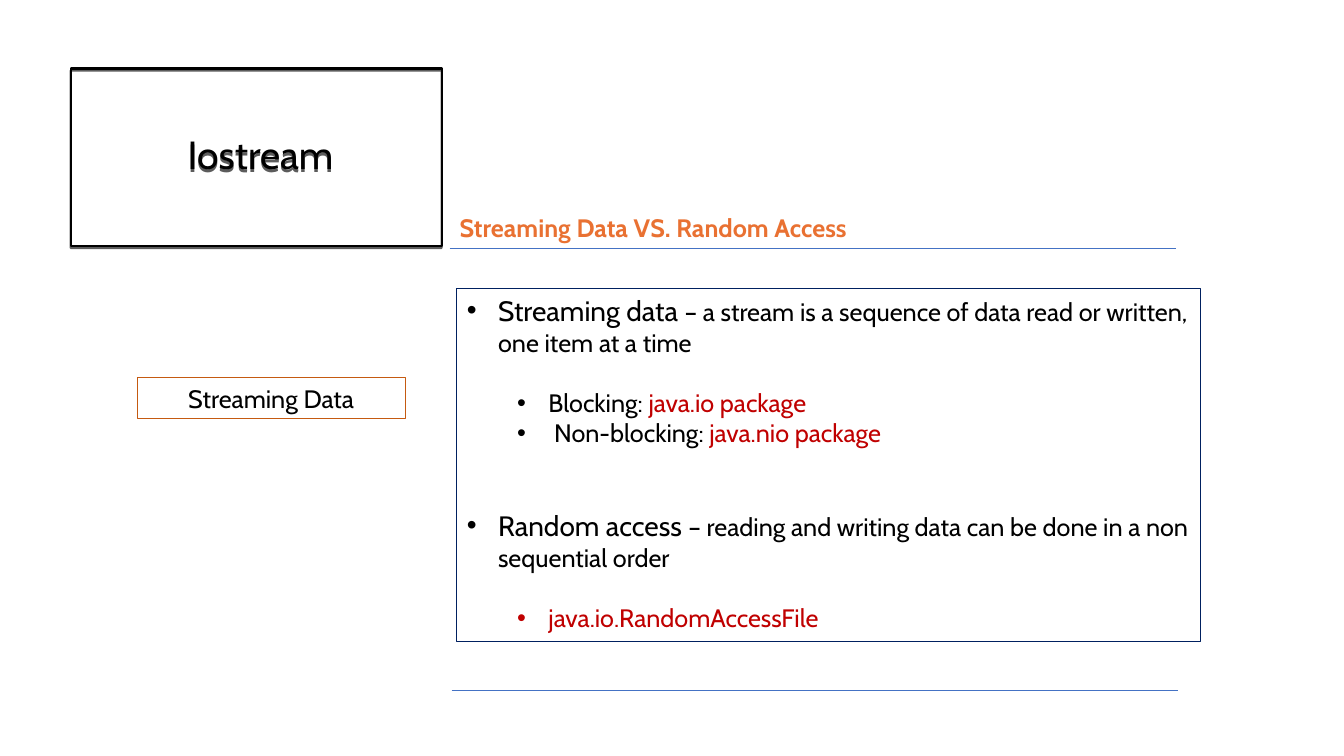
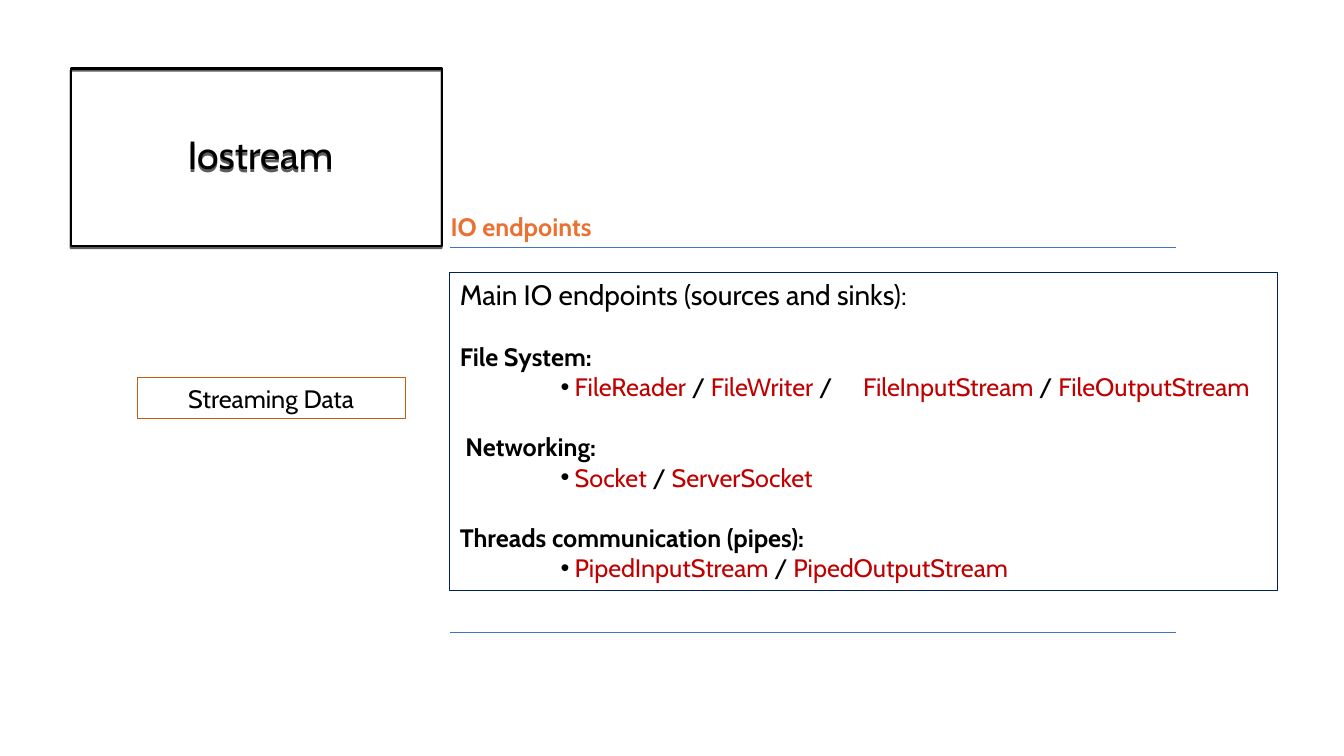
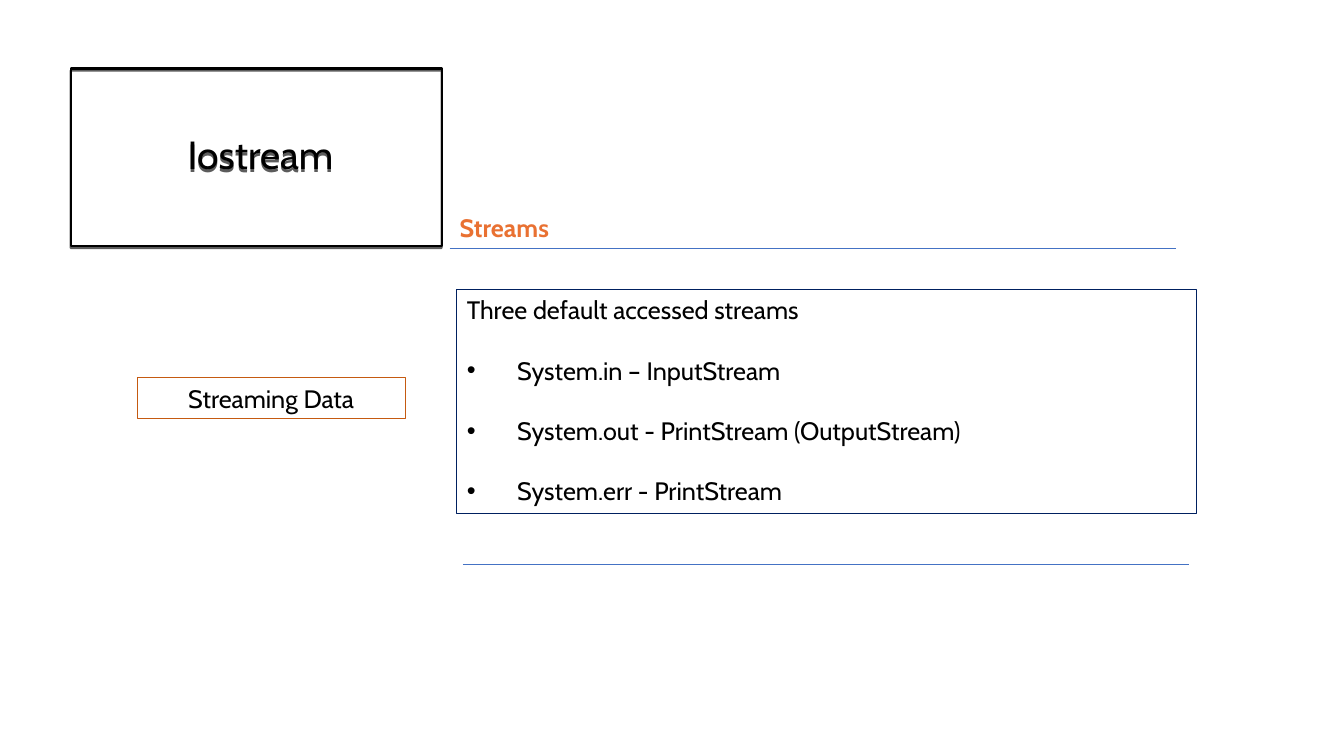
from dataclasses import dataclass

from lxml.etree import SubElement
from pptx import Presentation
from pptx.dml.color import RGBColor
from pptx.enum.shapes import MSO_CONNECTOR, MSO_SHAPE
from pptx.enum.text import MSO_ANCHOR, MSO_AUTO_SIZE, PP_ALIGN
from pptx.oxml.ns import qn
from pptx.util import Inches, Pt

FONT = "Cabin"
INK, RED, ORANGE = "000000", "C00000", "E97132"
NAVY, RUST, BLUE = "002060", "C55A11", "4472C4"
TEXT_SIZE, LEAD_SIZE, TITLE_SIZE = 18, 20, 28
LINE_HEIGHT = 1.2 * TEXT_SIZE
RULE_WIDTH = 7.2


@dataclass
class Box:
    left: float
    top: float
    width: float
    height: float

    def inches(self):
        return [Inches(v) for v in (self.left, self.top, self.width, self.height)]


@dataclass
class Span:
    text: str
    color: str = INK
    size: int = TEXT_SIZE


@dataclass
class Line:
    """One paragraph; margin and hang are inches, gap counts empty lines above."""
    spans: list
    margin: float = 0
    hang: float = 0
    gap: int = 0
    level: int = 0
    bold: bool = False
    tab: float = 0


TITLE_BOX = Box(0.7, 0.68, 3.68, 1.76)
TOPIC_BOX = Box(1.36, 3.75, 2.66, 0.4)


def rgb(hex_color):
    return RGBColor.from_string(hex_color)


def set_font(font, size=TEXT_SIZE, color=INK, bold=False):
    font.name, font.size, font.bold = FONT, Pt(size), bold
    font.color.rgb = rgb(color)


def outline(shape, color, width):
    shape.fill.background()
    shape.line.color.rgb = rgb(color)
    shape.line.width = Pt(width)


def place(shape, box):
    shape.left, shape.top, shape.width, shape.height = box.inches()


def add_title(page, text):
    title = page.shapes.title
    place(title, TITLE_BOX)
    outline(title, INK, 1.5)
    effects = SubElement(title.element.spPr, qn("a:effectLst"))
    shadow = SubElement(effects, qn("a:outerShdw"), dist=str(Pt(1.5)),
                        dir="5400000", algn="t", rotWithShape="0")
    color = SubElement(shadow, qn("a:srgbClr"), val=INK)
    SubElement(color, qn("a:alpha"), val="63000")
    frame = title.text_frame
    frame.text = text
    frame.auto_size = MSO_AUTO_SIZE.NONE
    frame.vertical_anchor = MSO_ANCHOR.MIDDLE
    para = frame.paragraphs[0]
    para.alignment = PP_ALIGN.CENTER
    para.line_spacing = 0.9
    set_font(para.font, TITLE_SIZE)


def add_topic(page, text):
    topic = page.shapes.add_shape(MSO_SHAPE.RECTANGLE, *TOPIC_BOX.inches())
    topic.shadow.inherit = False
    outline(topic, RUST, 0.75)
    topic.text_frame.text = text
    para = topic.text_frame.paragraphs[0]
    para.alignment = PP_ALIGN.CENTER
    set_font(para.font)


def add_rule(page, left, top):
    rule = page.shapes.add_connector(
        MSO_CONNECTOR.STRAIGHT, Inches(left), Inches(top),
        Inches(left + RULE_WIDTH), Inches(top))
    rule.line.color.rgb = rgb(BLUE)
    rule.line.width = Pt(0.5)
    SubElement(rule.element.spPr, qn("a:effectLst"))


def add_heading(page, text, left, top):
    heading = page.shapes.add_textbox(*Box(left, top, 4.38, 0.4).inches())
    heading.text_frame.word_wrap = True
    heading.text_frame.text = text
    set_font(heading.text_frame.paragraphs[0].font, color=ORANGE, bold=True)


def set_bullet(para, line):
    props = para._p.get_or_add_pPr()
    props.set("marL", str(Inches(line.margin)))
    props.set("indent", str(-Inches(line.hang)))
    if line.hang:
        color = line.spans[0].color if len(line.spans) == 1 else INK
        SubElement(SubElement(props, qn("a:buClr")), qn("a:srgbClr"), val=color)
        SubElement(props, qn("a:buFont"), typeface="Arial")
        SubElement(props, qn("a:buChar"), char="•")
    else:
        SubElement(props, qn("a:buNone"))
    if line.tab:
        tabs = SubElement(props, qn("a:tabLst"))
        SubElement(tabs, qn("a:tab"), pos=str(Inches(line.tab)), algn="l")


def add_body(page, box, lines):
    body = page.placeholders[1]
    place(body, box)
    outline(body, NAVY, 0.75)
    frame = body.text_frame
    frame.auto_size = MSO_AUTO_SIZE.NONE
    frame.vertical_anchor = MSO_ANCHOR.TOP
    for index, line in enumerate(lines):
        para = frame.add_paragraph() if index else frame.paragraphs[0]
        para.level = line.level
        set_bullet(para, line)
        para.space_before = Pt(line.gap * LINE_HEIGHT)
        set_font(para.font, bold=line.bold)
        for part in line.spans:
            span = para.add_run()
            span.text = part.text
            set_font(span.font, part.size, part.color, line.bold)


def add_page(deck, heading, heading_at, body_box, lines, end_rule_at):
    page = deck.slides.add_slide(deck.slide_layouts[1])
    add_title(page, " Iostream")
    add_body(page, body_box, lines)
    left, top = heading_at
    add_rule(page, 4.46, top + 0.4)
    add_rule(page, *end_rule_at)
    add_heading(page, heading, left, top)
    add_topic(page, "Streaming Data")


def lead_item(term, meaning, gap=0):
    return Line([Span(term, size=LEAD_SIZE), Span(meaning)], 0.31, 0.31, gap)


def sub_item(*spans, gap=0):
    return Line(spans, 0.81, 0.31, gap, level=1)


def group_head(text):
    return Line([Span(text)], gap=1, bold=True)


def class_item(*texts, tab=0):
    """Class names in red, the slashes between them in black."""
    spans = [Span(text, INK if "/" in text else RED) for text in texts]
    return Line(spans, 1.14, 0.14, tab=tab)


def stream_item(text):
    return Line([Span(text)], 0.5, 0.5, gap=1)


def main():
    deck = Presentation()
    deck.slide_width, deck.slide_height = Inches(13.33), Inches(7.5)
    add_page(deck, "Streaming Data VS. Random Access", (4.46, 2.06),
             Box(4.53, 2.86, 7.38, 3.5), [
                 lead_item("Streaming data ", "– a stream is a sequence of data "
                           "read or written, one item at a time"),
                 sub_item(Span("Blocking: "), Span("java.io package", RED), gap=1),
                 sub_item(Span(" Non-blocking: "), Span("java.nio package", RED)),
                 lead_item("Random access ", "– reading and writing data can be "
                           "done in a non sequential order", gap=2),
                 sub_item(Span("java.io.RandomAccessFile", RED), gap=1),
             ], (4.48, 6.85))
    add_page(deck, "IO endpoints", (4.37, 2.05), Box(4.46, 2.7, 8.21, 3.16), [
        Line([Span("Main IO endpoints (sources and sinks):", size=LEAD_SIZE)]),
        group_head("File System:"),
        class_item("FileReader", " / ", "FileWriter", " / \t",
                   "FileInputStream", " / ", "FileOutputStream", tab=4),
        group_head(" Networking:"),
        class_item("Socket", " / ", "ServerSocket"),
        group_head("Threads communication (pipes):"),
        class_item("PipedInputStream", " / ", "PipedOutputStream"),
    ], (4.46, 6.27))
    add_page(deck, "Streams", (4.46, 2.06), Box(4.53, 2.87, 7.34, 2.22), [
        Line([Span("Three default accessed streams")]),
        stream_item("System.in – InputStream"),
        stream_item("System.out - PrintStream (OutputStream)"),
        stream_item("System.err - PrintStream"),
    ], (4.59, 5.6))
    deck.save("out.pptx")


if __name__ == "__main__":
    main()
